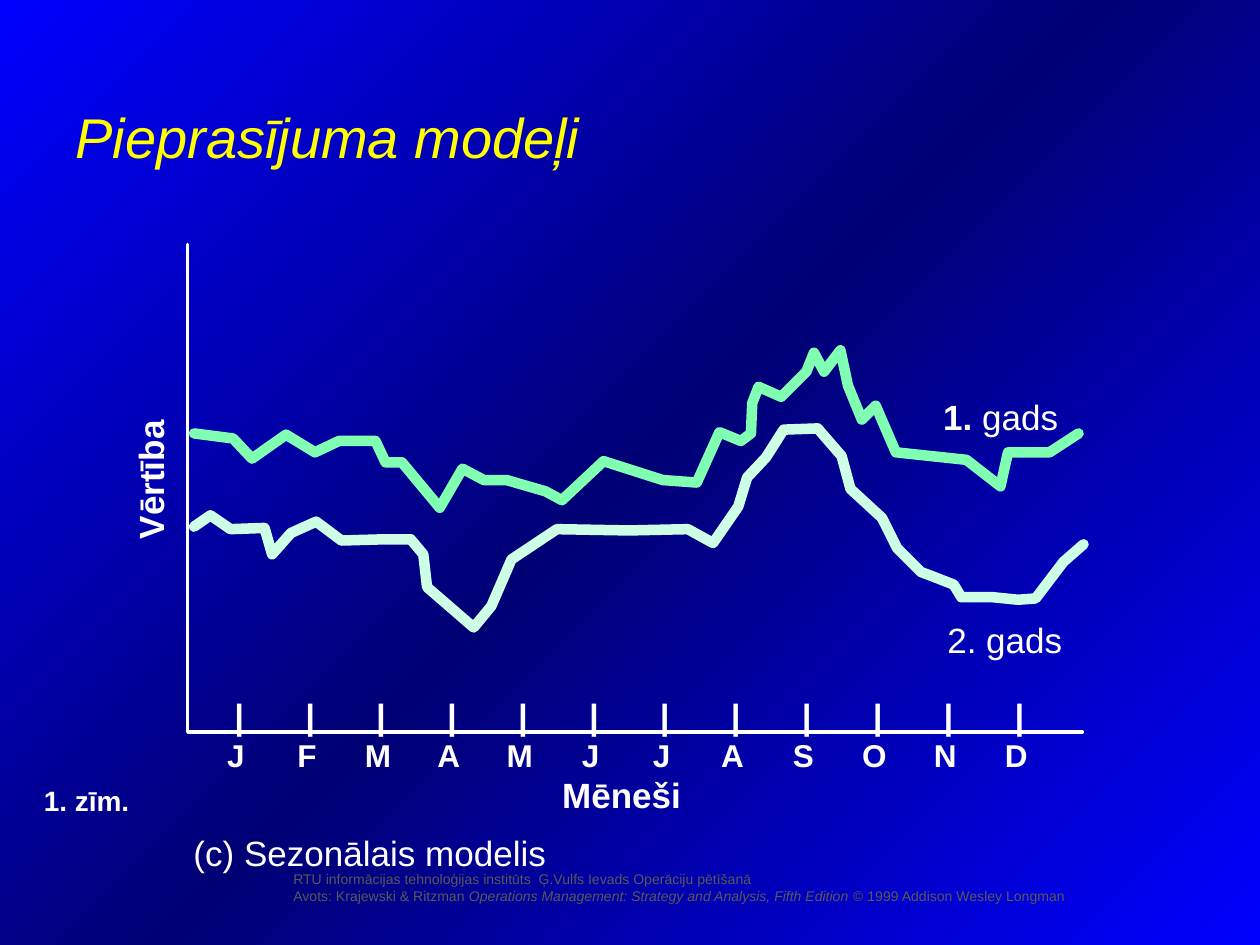
from copy import deepcopy

from lxml.etree import SubElement
from pptx import Presentation
from pptx.dml.color import RGBColor
from pptx.enum.text import MSO_ANCHOR, PP_ALIGN
from pptx.oxml.ns import qn
from pptx.util import Inches, Pt

WHITE = RGBColor(0xFF, 0xFF, 0xFF)
YELLOW = RGBColor(0xFF, 0xFF, 0x00)
GREY = RGBColor(0x59, 0x59, 0x59)
BLUE = RGBColor(0x00, 0x00, 0xFF)
NAVY = RGBColor(0x00, 0x00, 0x75)
GREEN = RGBColor(0x80, 0xFF, 0xB3)
MINT = RGBColor(0xCC, 0xFF, 0xE6)

GRID = Inches(0.01)
MONTHS = "JFMAMJJASOND"
FIRST_TAB, TAB_STEP = 0.24, 0.563

AXES = [(149, 194), (149, 581), (859, 581)]
YEAR_ONE = [
    (154, 344), (185, 348), (200, 364), (227, 345), (250, 359), (269, 350),
    (298, 350), (306, 367), (319, 367), (349, 403), (367, 372), (384, 381),
    (402, 381), (433, 390), (446, 397), (479, 366), (526, 381), (553, 383),
    (571, 343), (588, 350), (596, 344), (597, 320), (602, 307), (620, 315),
    (640, 295), (646, 280), (654, 295), (667, 278), (673, 306), (684, 333),
    (695, 322), (711, 359), (767, 365), (794, 386), (800, 359), (833, 359),
    (856, 344),
]
YEAR_TWO = [
    (154, 418), (167, 409), (183, 420), (210, 419), (216, 440), (231, 423),
    (251, 414), (271, 429), (306, 428), (326, 428), (336, 440), (339, 466),
    (376, 498), (390, 481), (406, 444), (442, 420), (499, 421), (546, 420),
    (566, 431), (586, 402), (593, 379), (608, 363), (622, 341), (649, 340),
    (668, 362), (675, 388), (700, 411), (712, 435), (731, 454), (739, 457),
    (757, 464), (763, 474), (788, 474), (808, 476), (822, 475), (844, 446),
    (860, 432),
]


def paint_background(slide):
    """Fill the slide with a diagonal blue, navy, blue gradient."""
    fill = slide.background.fill
    fill.gradient()
    fill.gradient_angle = 135
    stop_list = slide.background._cSld.find(".//" + qn("a:gsLst"))
    stop_list.insert(1, deepcopy(stop_list[0]))
    for stop, position, color in zip(fill.gradient_stops, (0, 0.5, 1), (BLUE, NAVY, BLUE)):
        stop.position = position
        stop.color.rgb = color


def add_polyline(shapes, points, color, width):
    """Draw an open line with round ends through points on the grid."""
    builder = shapes.build_freeform(*points[0], scale=GRID)
    builder.add_line_segments(points[1:], close=False)
    shape = builder.convert_to_shape()
    shape.shadow.inherit = False
    shape.fill.background()
    shape.line.color.rgb = color
    shape.line.width = Pt(width)
    line = shape.line._get_or_add_ln()
    line.set("cap", "rnd")
    SubElement(line, qn("a:round"))


def add_text_frame(shapes, left, top, width, height, wrap=False):
    """Add an empty text box, measured in inches, and return it."""
    box = shapes.add_textbox(Inches(left), Inches(top), Inches(width), Inches(height))
    box.text_frame.word_wrap = wrap
    return box


def write(paragraph, runs, size, color=WHITE, bold=None, italic=None):
    """Write (text, bold, italic) runs into a paragraph of one font."""
    for text, run_bold, run_italic in runs:
        run = paragraph.add_run()
        run.text = text
        run.font.bold = run_bold
        run.font.italic = run_italic
    font = paragraph.font
    font.name = "Arial"
    font.size = Pt(size)
    font.color.rgb = color
    font.bold = bold
    font.italic = italic


def add_label(shapes, area, runs, size, wrap=False, **style):
    """Add a one-paragraph text box."""
    box = add_text_frame(shapes, *area, wrap=wrap)
    write(box.text_frame.paragraphs[0], runs, size, **style)
    return box


def add_month_tabs(paragraph):
    """Give a paragraph one centred tab stop for each month."""
    tab_list = SubElement(paragraph._p.get_or_add_pPr(), qn("a:tabLst"))
    for month in range(len(MONTHS)):
        position = Inches(FIRST_TAB + month * TAB_STEP)
        SubElement(tab_list, qn("a:tab"), pos=str(position), algn="ctr")


def add_month_axis(shapes):
    """Add the ticks, the month letters and the axis name."""
    frame = add_text_frame(shapes, 1.53, 5.46, 6.73, 1.4).text_frame
    ticks = "".join("\t|" for _ in MONTHS)
    letters = "".join("\t" + month for month in MONTHS)
    for index, (text, size) in enumerate(((ticks, 20), (letters, 18), (" Mēneši", 20))):
        paragraph = frame.add_paragraph() if index else frame.paragraphs[0]
        paragraph.alignment = PP_ALIGN.CENTER
        add_month_tabs(paragraph)
        write(paragraph, [(text, None, None)], size, bold=True)


def add_seasonal_graph(slide):
    """Add the grouped graph of demand in two years."""
    shapes = slide.shapes.add_group_shape().shapes
    add_polyline(shapes, AXES, WHITE, 2)
    value_label = add_label(shapes, (0.58, 3.63, 1.22, 0.43), [(" Vērtība", None, None)], 20, bold=True)
    value_label.rotation = 270
    add_month_axis(shapes)
    add_polyline(shapes, YEAR_ONE, GREEN, 6)
    add_polyline(shapes, YEAR_TWO, MINT, 6)
    add_label(shapes, (7.31, 3.09, 1.19, 0.76), [(" 1. ", True, None), ("gads", None, None)], 20)
    add_label(shapes, (7.42, 4.86, 1.11, 0.43), [("2. gads", None, None)], 20)


def add_source_note(slide):
    """Add the two small lines naming the author and the source."""
    frame = add_text_frame(slide.shapes, 2.23, 6.86, 7.77, 0.37, wrap=True).text_frame
    author = "RTU informācijas tehnoloģijas institūts  Ģ.Vulfs Ievads Operāciju pētīšanā"
    write(frame.paragraphs[0], [(author, None, None)], 8, color=GREY)
    source = [
        ("Avots: Krajewski & Ritzman ", None, None),
        ("Operations Management: Strategy and Analysis, Fifth Edition", None, True),
        (" © 1999 Addison Wesley Longman", None, None),
    ]
    write(frame.add_paragraph(), source, 8, color=GREY)


def main():
    """Build the slide and save it."""
    presentation = Presentation()
    presentation.slide_width = Inches(10)
    presentation.slide_height = Inches(7.5)
    slide = presentation.slides.add_slide(presentation.slide_layouts[6])
    shapes = slide.shapes
    paint_background(slide)
    add_source_note(slide)
    add_seasonal_graph(slide)
    caption = [(" ", True, None), ("(c) Sezonālais modelis", None, None)]
    add_label(shapes, (1.36, 6.55, 7.72, 0.43), caption, 20, wrap=True)
    title = add_label(shapes, (0.5, 0.58, 6.17, 1), [("Pieprasījuma modeļi", None, None)], 32,
                      wrap=True, color=YELLOW, italic=True)
    title.text_frame.vertical_anchor = MSO_ANCHOR.MIDDLE
    add_label(shapes, (0.25, 6.17, 0.88, 0.37), [("1. zīm.", None, None)], 16, bold=True)
    presentation.save("out.pptx")


if __name__ == "__main__":
    main()
